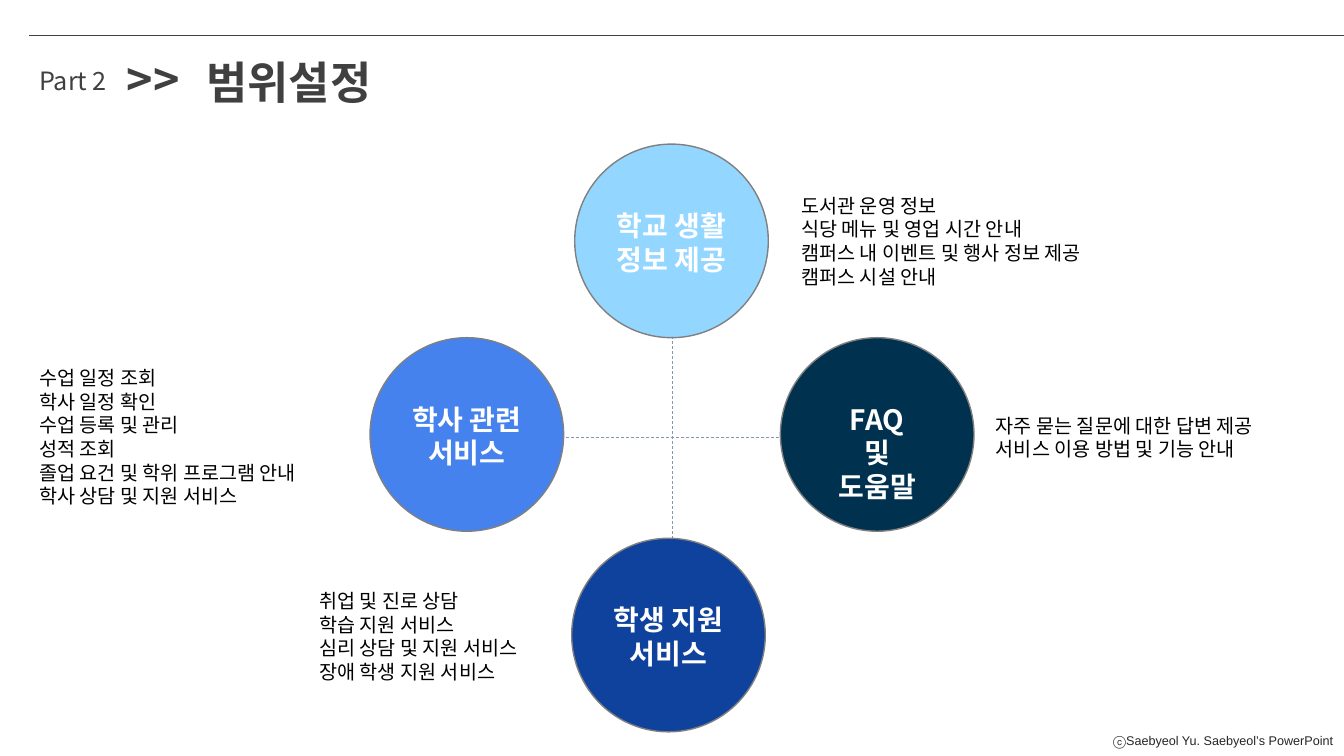
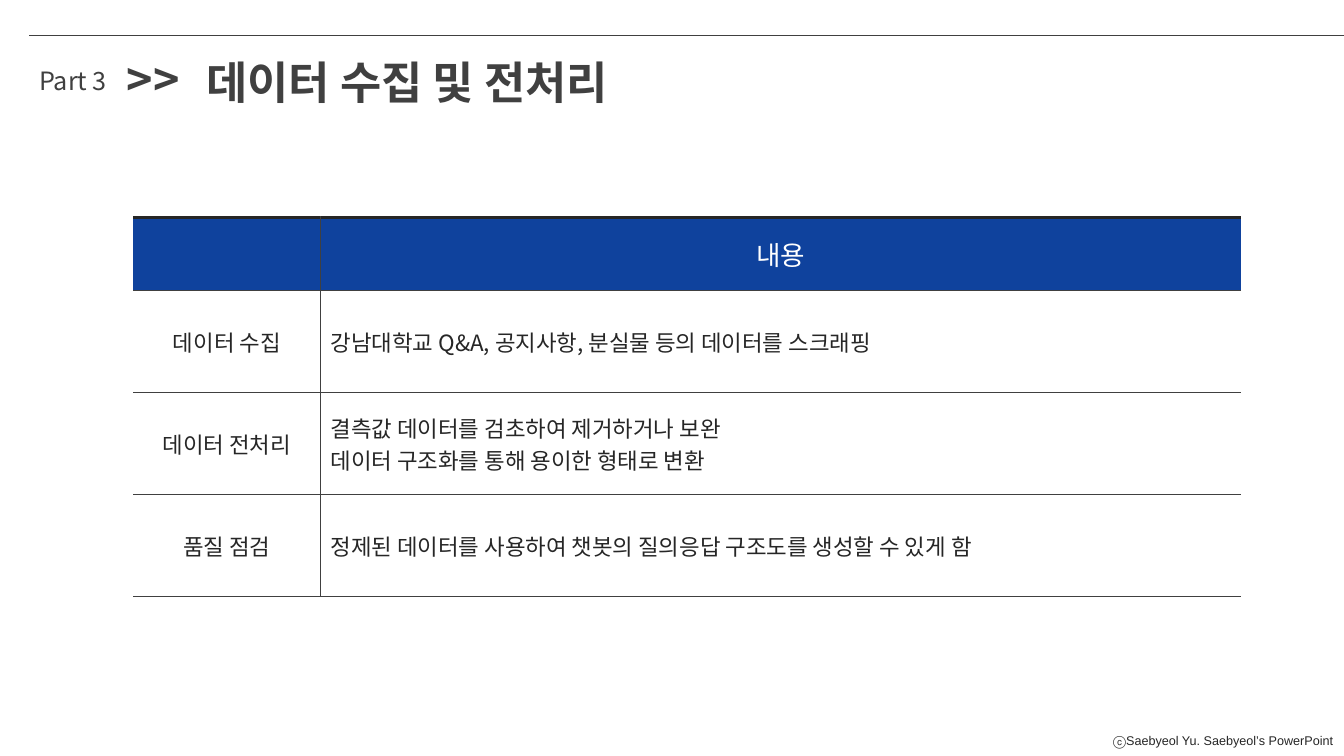
from lxml import etree
from pptx import Presentation
from pptx.dml.color import RGBColor
from pptx.enum.dml import MSO_LINE
from pptx.enum.shapes import MSO_CONNECTOR, MSO_SHAPE
from pptx.enum.text import MSO_ANCHOR as Anchor, PP_ALIGN as Align
from pptx.oxml.ns import qn
from pptx.util import Inches, Pt

SANS, LATIN = "Noto Sans CJK KR", "Arial"
INK, DARK, BLACK, WHITE = "404040", "262626", "000000", "FFFFFF"
ROYAL, AXIS, RIM = "0F429D", "8497B0", "808080"
WIDTH, HEIGHT = 13.33, 7.5
MARGIN = 0.29
DIAMETER = 1.92
LABEL_DROP = 0.57

SCOPES = [
    ((3.67, 3.35), "4682ED", ["학사 관련", "서비스"], (0.29, 3.57, 3.13, 1.51),
     ["수업 일정 조회", "학사 일정 확인", "수업 등록 및 관리", "성적 조회",
      "졸업 요건 및 학위 프로그램 안내", "학사 상담 및 지원 서비스"]),
    ((5.7, 1.43), "93D6FF", ["학교 생활", "정보 제공"], (7.85, 1.86, 4.55, 1.04),
     ["도서관 운영 정보", "식당 메뉴 및 영업 시간 안내",
      "캠퍼스 내 이벤트 및 행사 정보 제공", "캠퍼스 시설 안내"]),
    ((5.67, 5.34), ROYAL, ["학생 지원", "서비스"], (3.07, 5.78, 3.13, 1.04),
     ["취업 및 진로 상담", "학습 지원 서비스", "심리 상담 및 지원 서비스",
      "장애 학생 지원 서비스"]),
    ((7.74, 3.35), "00314F", ["FAQ", "및", "도움말"], (9.78, 4.04, 3.13, 0.57),
     ["자주 묻는 질문에 대한 답변 제공", "서비스 이용 방법 및 기능 안내"]),
]
STEPS = [
    ("데이터 수집", ["강남대학교 Q&A, 공지사항, 분실물 등의 데이터를 스크래핑"]),
    ("데이터 전처리", ["결측값 데이터를 검초하여 제거하거나 보완",
                 "데이터 구조화를 통해 용이한 형태로 변환"]),
    ("품질 점검", ["정제된 데이터를 사용하여 챗봇의 질의응답 구조도를 생성할 수 있게 함"]),
]


def rgb(code):
    """Turn a hex string into a colour."""
    return RGBColor.from_string(code)


def write(frame, lines, size, color, align=Align.LEFT, bold=False, font=SANS, pitch=None):
    """Fill a text frame with one paragraph per line."""
    for index, line in enumerate(lines):
        paragraph = frame.paragraphs[0] if index == 0 else frame.add_paragraph()
        paragraph.alignment = align
        if pitch:
            paragraph.line_spacing = Pt(size * pitch)
        run = paragraph.add_run()
        run.text = line
        run.font.size = Pt(size)
        run.font.bold = bold
        run.font.name = font
        run.font.color.rgb = rgb(color)
        if font == SANS:
            etree.SubElement(run.font._element, qn("a:ea"), typeface=font)


def add_text(slide, box, lines, size, color, pitch=1.2, **style):
    """Add a wrapping text box with even line pitch."""
    frame = slide.shapes.add_textbox(*map(Inches, box)).text_frame
    frame.word_wrap = True
    frame.vertical_anchor = Anchor.TOP
    if pitch:
        frame.margin_top = Inches(0.05) + Pt(size * 0.07)
    write(frame, lines, size, color, pitch=pitch, **style)


def add_line(slide, start, end, color, dashed=False):
    """Add a thin straight line."""
    line = slide.shapes.add_connector(MSO_CONNECTOR.STRAIGHT, *map(Inches, start + end))
    line.line.color.rgb = rgb(color)
    line.line.width = Pt(0.5)
    if dashed:
        line.line.dash_style = MSO_LINE.DASH
    etree.SubElement(line._element.spPr, qn("a:effectLst"))


def add_page(deck, part, title):
    """Add a slide with the shared top rule, heading and footer."""
    slide = deck.slides.add_slide(deck.slide_layouts[6])
    add_text(slide, (9.32, 7.22, 4, 0.25), ["ⓒSaebyeol Yu. Saebyeol’s PowerPoint"],
             9, DARK, pitch=None, align=Align.RIGHT, font=LATIN)
    add_line(slide, (MARGIN, 0.35), (WIDTH, 0.35), INK)
    add_text(slide, (MARGIN, 0.58, 1, 0.4), [part], 18, INK)
    add_text(slide, (1.16, 0.43, 0.79, 0.64), [">>"], 32, INK, bold=True)
    add_text(slide, (1.95, 0.46, 8, 0.64), [title], 32, INK, bold=True)
    return slide


def add_scope(slide, corner, color, label, detail_box, details):
    """Add one labelled circle and its list of services."""
    left, top = corner
    circle = slide.shapes.add_shape(
        MSO_SHAPE.OVAL, *map(Inches, (left, top, DIAMETER, DIAMETER)))
    circle.shadow.inherit = False
    circle.fill.solid()
    circle.fill.fore_color.rgb = rgb(color)
    circle.line.color.rgb = rgb(RIM)
    circle.line.width = Pt(1)
    add_text(slide, (left, top + LABEL_DROP, DIAMETER, 0.77), label, 20, WHITE,
             align=Align.CENTER, bold=True)
    add_text(slide, detail_box, details, 14, BLACK, align=Align.JUSTIFY)


def scope_slide(deck):
    """Build the slide with four circles around crossed axes."""
    slide = add_page(deck, "Part 2", "범위설정")
    add_line(slide, (6.67, 3.04), (6.67, 5.66), AXIS, dashed=True)
    add_line(slide, (4.87, 4.34), (8.21, 4.34), AXIS, dashed=True)
    for scope in SCOPES:
        add_scope(slide, *scope)


def set_borders(cell, **sides):
    """Draw the given cell sides as (colour, points) and clear the others."""
    properties = cell._tc.get_or_add_tcPr()
    for side in "LRTB":
        color, points = sides.get(side, (None, 0))
        border = etree.SubElement(properties, qn(f"a:ln{side}"), w=str(Pt(points)))
        if color:
            fill = etree.SubElement(border, qn("a:solidFill"))
            etree.SubElement(fill, qn("a:srgbClr"), val=color)
        else:
            etree.SubElement(border, qn("a:noFill"))


def add_step_table(slide, box):
    """Add the table of steps, with a header row and a narrow first column."""
    table = slide.shapes.add_table(len(STEPS) + 1, 2, *map(Inches, box)).table
    table.first_row = table.horz_banding = False
    header_height, first_width = 0.72, 1.86
    table.columns[0].width = Inches(first_width)
    table.columns[1].width = Inches(box[2] - first_width)
    thin = (INK, 0.5)
    rows = [("", ["내용"])] + STEPS
    for row, (step, details) in enumerate(rows):
        header = row == 0
        table.rows[row].height = Inches(
            header_height if header else (box[3] - header_height) / len(STEPS))
        for column, lines in enumerate(([step] if step else [], details)):
            cell = table.cell(row, column)
            inner = "L" if column else "R"
            set_borders(cell, T=(DARK, 2.25) if header else thin, B=thin, **{inner: thin})
            cell.fill.solid()
            cell.fill.fore_color.rgb = rgb(ROYAL if header else WHITE)
            cell.vertical_anchor = Anchor.MIDDLE
            write(cell.text_frame, lines, 19 if header else 16, WHITE if header else DARK,
                  align=Align.CENTER if header or column == 0 else Align.LEFT)


def data_slide(deck):
    """Build the slide on data collection and preparation."""
    slide = add_page(deck, "Part 3", "데이터 수집 및 전처리")
    add_step_table(slide, (1.32, 2.16, 10.99, 3.76))


def main():
    """Build and save the deck."""
    deck = Presentation()
    deck.slide_width, deck.slide_height = Inches(WIDTH), Inches(HEIGHT)
    scope_slide(deck)
    data_slide(deck)
    deck.save("out.pptx")


if __name__ == "__main__":
    main()
